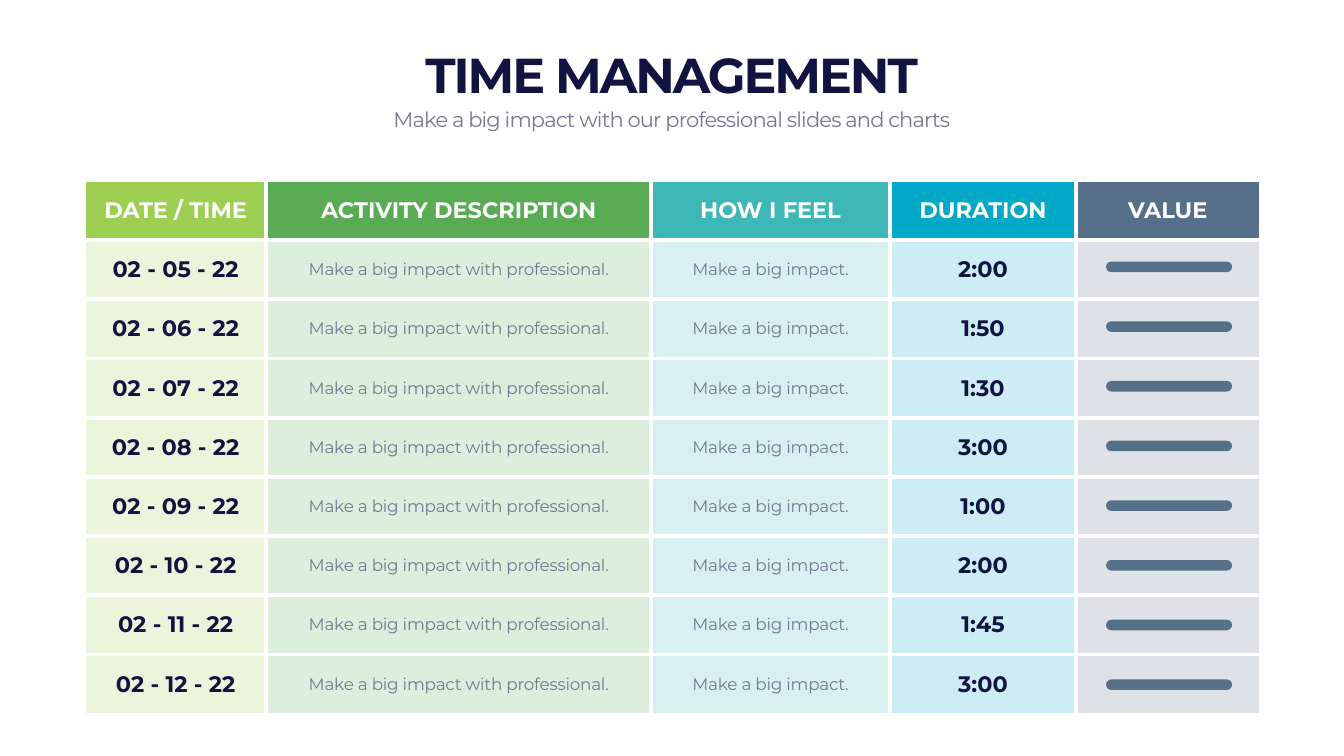
"""Build a time management slide with an activity log table."""
import lxml.etree
import pptx
import pptx.dml.color
import pptx.enum.shapes
import pptx.enum.text
import pptx.oxml
import pptx.oxml.ns
import pptx.util

INCH = pptx.util.Inches
ANCHOR = pptx.enum.text.MSO_ANCHOR
NAVY, GREY, WHITE, SLATE = "111340", "747993", "FFFFFF", "56708A"


def color(code):
    return pptx.dml.color.RGBColor.from_string(code)


def write(frame, text, size=32, ink=NAVY, bold=True, spacing=0):
    para = frame.paragraphs[0]
    para.alignment = pptx.enum.text.PP_ALIGN.CENTER
    span = para.add_run()
    span.text = text
    span.font.name = "Montserrat"
    span.font.size = pptx.util.Pt(size)
    span.font.bold = bold
    span.font.color.rgb = color(ink)
    if spacing:
        span._r.get_or_add_rPr().set("spc", str(round(spacing * 100)))


deck = pptx.Presentation()
deck.slide_width, deck.slide_height = INCH(26.66), INCH(15)
page = deck.slides.add_slide(deck.slide_layouts[6])

columns = [
    ("DATE / TIME", 3.59, "9DCF53"),
    ("ACTIVITY DESCRIPTION", 7.64, "59AC54"),
    ("HOW I FEEL", 4.73, "3DB8B6"),
    ("DURATION", 3.7, "01A8C7"),
    ("VALUE", 3.63, SLATE),
]
durations = ["2:00", "1:50", "1:30", "3:00", "1:00", "2:00", "1:45", "3:00"]
rows = [[title for title, width, tint in columns]]
for day, duration in enumerate(durations, start=5):
    rows.append([f"02 - {day:02} - 22", "Make a big impact with professional.",
                 "Make a big impact.", duration, ""])

last_row, last_column = len(rows) - 1, len(columns) - 1
table = page.shapes.add_table(len(rows), len(columns), INCH(1.69), INCH(3.59),
                              INCH(23.29), INCH(10.57)).table
table.first_row = table.horz_banding = False
for column, (title, width, tint) in enumerate(columns):
    table.columns[column].width = INCH(width)

for row, texts in enumerate(rows):
    for column, text in enumerate(texts):
        cell = table.cell(row, column)
        cell.vertical_anchor = ANCHOR.MIDDLE
        properties = cell._tc.get_or_add_tcPr()
        inner_sides = {"lnL": column > 0, "lnR": column < last_column,
                       "lnT": row > 0, "lnB": row < last_row}
        for side, is_inner in inner_sides.items():
            if is_inner:
                properties.append(pptx.oxml.parse_xml(
                    f'<a:{side} {pptx.oxml.ns.nsdecls("a")} w="{pptx.util.Pt(6)}">'
                    f'<a:solidFill><a:srgbClr val="{WHITE}"/></a:solidFill></a:{side}>'))
        cell.fill.solid()
        cell.fill.fore_color.rgb = color(columns[column][2])
        if row > 0:
            shade = properties.find(pptx.oxml.ns.qn("a:solidFill"))[0]
            lxml.etree.SubElement(shade, pptx.oxml.ns.qn("a:alpha"), val="20000")
        if row == 0:
            write(cell.text_frame, text, ink=WHITE)
        elif column in (1, 2):
            write(cell.text_frame, text, size=24, ink=GREY, bold=False, spacing=-0.3)
        elif text:
            write(cell.text_frame, text)

first_bar, last_bar = 5.19, 13.48
bar_pitch = (last_bar - first_bar) / (len(durations) - 1)
for number in range(len(durations)):
    bar = page.shapes.add_shape(
        pptx.enum.shapes.MSO_SHAPE.ROUNDED_RECTANGLE, INCH(21.94),
        INCH(first_bar + number * bar_pitch), INCH(2.5), INCH(0.21))
    bar.adjustments[0] = 0.5
    bar.shadow.inherit = False
    bar.fill.solid()
    bar.fill.fore_color.rgb = color(SLATE)
    bar.line.fill.background()

headings = [
    ("TIME MANAGEMENT", 0.82, 1.28, ANCHOR.BOTTOM,
     dict(size=70, spacing=-2.9)),
    ("Make a big impact with our professional slides and charts", 2.06, 0.61, ANCHOR.TOP,
     dict(size=30, ink=GREY, bold=False, spacing=-1.2)),
]
for text, top, height, anchor, style in headings:
    box = page.shapes.add_textbox(INCH(1.66), INCH(top), INCH(23.33), INCH(height))
    box.text_frame.word_wrap = True
    box.text_frame.auto_size = pptx.enum.text.MSO_AUTO_SIZE.SHAPE_TO_FIT_TEXT
    box.text_frame.vertical_anchor = anchor
    write(box.text_frame, text, **style)

deck.save("out.pptx")
